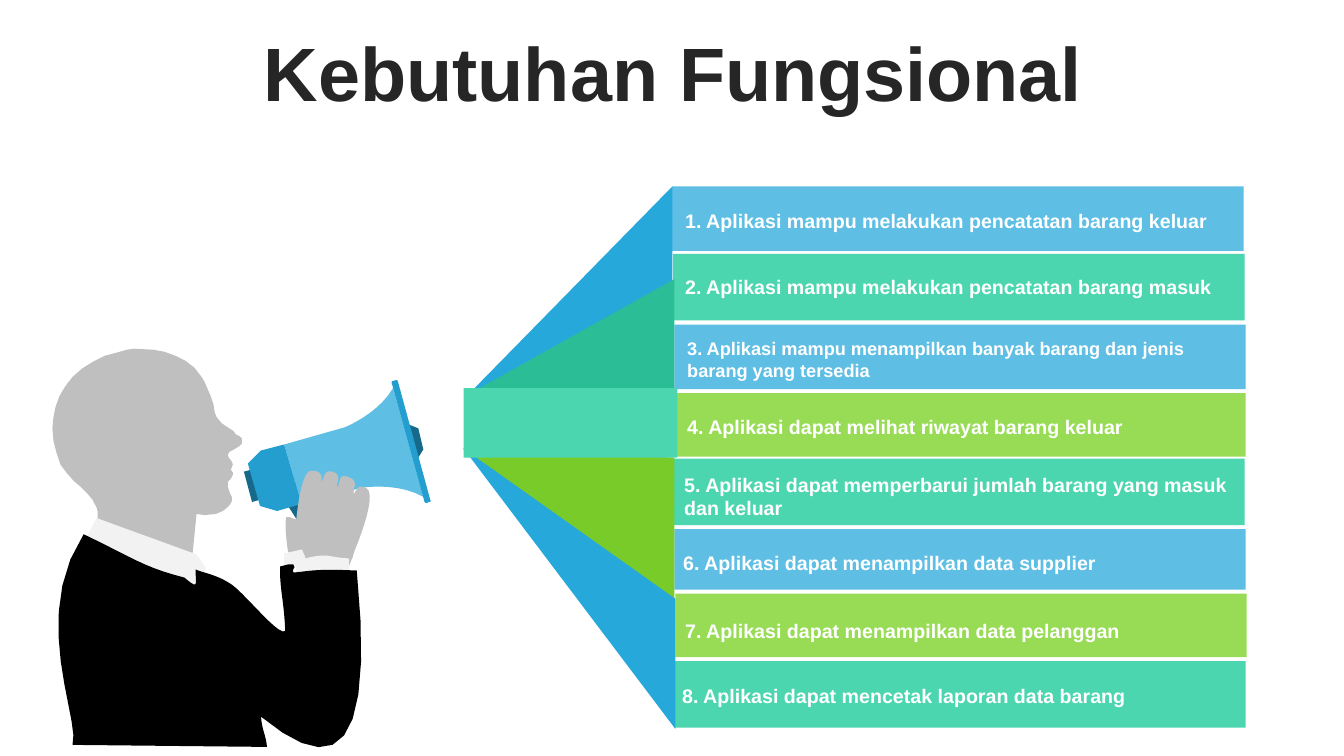
from typing import NamedTuple

from pptx import Presentation
from pptx.dml.color import RGBColor
from pptx.enum.shapes import MSO_SHAPE
from pptx.enum.text import MSO_ANCHOR, PP_ALIGN
from pptx.util import Cm, Pt

SKY, MINT, LIME = "5EBEE4", "4CD6B0", "98DC56"
BLUE, HORN_BLUE, DARK_BLUE = "27A8DB", "239ECF", "17698A"
SKIN, CLOTH, SUIT = "BFBFBF", "F2F2F2", "000000"
BAR_WIDTH = 5.67
CURVE_STEPS = 10


class Requirement(NamedTuple):
    text: str
    color: str
    left: float
    top: float
    height: float
    text_left: float
    text_top: float
    text_height: float = 0.34
    size: int = 14


class Outline(NamedTuple):
    """Steps are "x,y" for a line and "x1,y1,x2,y2,x,y" for a Bézier curve."""
    color: str
    steps: str


REQUIREMENTS = [
    Requirement("1. Aplikasi mampu melakukan pencatatan barang keluar",
                SKY, 6.67, 1.85, 0.64, 6.7, 2.02),
    Requirement("2. Aplikasi mampu melakukan pencatatan barang masuk",
                MINT, 6.68, 2.52, 0.66, 6.7, 2.68),
    Requirement("3. Aplikasi mampu menampilkan banyak barang dan jenis barang yang tersedia",
                SKY, 6.69, 3.22, 0.64, 6.72, 3.3, 0.54, 13),
    Requirement("4. Aplikasi dapat melihat riwayat barang keluar",
                LIME, 6.69, 3.9, 0.63, 6.72, 4.07),
    Requirement("5. Aplikasi dapat memperbarui jumlah barang yang masuk dan keluar",
                MINT, 6.68, 4.55, 0.66, 6.69, 4.64, 0.57),
    Requirement("6. Aplikasi dapat menampilkan data supplier",
                SKY, 6.69, 5.25, 0.6, 6.68, 5.42),
    Requirement("7. Aplikasi dapat menampilkan data pelanggan",
                LIME, 6.7, 5.89, 0.63, 6.7, 6.09),
    Requirement("8. Aplikasi dapat mencetak laporan data barang",
                MINT, 6.69, 6.56, 0.66, 6.67, 6.74),
]

WEDGES = [
    Outline(BLUE, "6.67,2.82 4.62,3.94 6.67,1.85"),
    Outline("2BBD95", "6.69,3.87 4.6,3.94 6.69,2.77"),
    Outline("79CB2A", "6.69,6.01 4.59,4.45 6.69,4.54"),
    Outline(BLUE, "6.7,7.23 4.6,4.45 6.7,5.94"),
]

MEGAPHONE = [
    Outline(DARK_BLUE, "4.05,4.21 4.08,4.39 4.15,4.54 4.2,4.46 4.15,4.25"),
    Outline(DARK_BLUE, "3.47,5.55 3.33,5.64 3.31,5.66,3.27,5.65,3.25,5.63 2.8,4.93 "
            "2.78,4.9,2.79,4.87,2.82,4.85 2.96,4.76 2.98,4.74,3.02,4.75,3.04,4.78 "
            "3.49,5.47 3.51,5.5,3.5,5.54,3.47,5.55"),
    Outline(SKY, "3.42,4.24 2.82,4.41 2.99,5.01 3.58,4.84 3.58,4.84,3.94,4.78,4.2,4.93 "
            "3.9,3.85 3.75,4.11,3.42,4.24,3.42,4.24"),
    Outline(HORN_BLUE, "4.26,4.98 4.23,4.99 4.22,4.99,4.21,4.98,4.21,4.97 3.89,3.81 "
            "3.88,3.79,3.89,3.78,3.9,3.78 3.93,3.77 3.94,3.77,3.95,3.78,3.95,3.79 "
            "4.27,4.96 4.28,4.97,4.27,4.98,4.26,4.98"),
    Outline(DARK_BLUE, "2.42,4.68 2.56,4.64 2.64,4.94 2.5,4.98"),
    Outline(HORN_BLUE, "2.59,4.47 2.46,4.6 2.58,5.02 2.75,5.07 2.99,5 2.82,4.41"),
]

HAND = Outline(
    SKIN, "2.98,5.59 2.97,5.55,2.98,5.55,2.97,5.52 2.92,5.49,2.94,5.51,2.86,5.48 "
    "2.85,5.44,2.82,5.19,2.84,5.13 2.91,5.13,2.87,5.14,2.94,5.15 "
    "2.96,4.95,3.01,4.66,3.09,4.67 3.18,4.67,3.2,4.71,3.19,4.79 "
    "3.22,4.72,3.22,4.66,3.3,4.68 3.41,4.71,3.32,4.82,3.35,4.83 "
    "3.38,4.77,3.36,4.7,3.45,4.73 3.57,4.77,3.5,4.84,3.51,4.9 "
    "3.54,4.86,3.55,4.8,3.63,4.84 3.75,4.89,3.56,5.36,3.52,5.46 "
    "3.48,5.58,3.45,5.66,3.39,5.75 3.25,5.69,3.19,5.67,2.98,5.59")

HEAD = Outline(
    SKIN, "1.26,3.47 1.33,3.46 1.52,3.47 1.63,3.49 1.74,3.53 1.84,3.58 1.93,3.65 2,3.74 "
    "2.03,3.79 2.09,3.93 2.12,4.02 2.13,4.09 2.15,4.14 2.2,4.2 2.26,4.24 2.32,4.28 "
    "2.34,4.31 2.38,4.33 2.4,4.35 2.4,4.4 2.37,4.43 2.32,4.46 2.28,4.48 2.26,4.51 "
    "2.27,4.54 2.3,4.58 2.31,4.61 2.29,4.66 2.31,4.69 2.31,4.71 2.29,4.75 2.26,4.78 "
    "2.26,4.83 2.28,4.89 2.3,4.93 2.3,4.97 2.28,5.01 2.25,5.04 2.21,5.07 2.14,5.1 "
    "2.03,5.11 1.95,5.1 1.91,5.5 0.97,5.21 0.97,5.08 0.96,5.04 0.92,4.96 0.87,4.9 "
    "0.8,4.83 0.73,4.77 0.66,4.69 0.6,4.61 0.56,4.49 0.53,4.37 0.52,4.25 0.53,4.14 "
    "0.55,4.04 0.59,3.93 0.65,3.83 0.72,3.74 0.81,3.66 0.92,3.59 1.04,3.53 1.19,3.49")

CLOTHES = [
    Outline(CLOTH, "0.83,5.38 0.96,5.14 1.95,5.5 2.04,5.63 2.02,5.75 1.95,5.71 1.93,5.82 "
            "1.53,5.7,1.2,5.52,0.83,5.38"),
    Outline(CLOTH, "2.82,5.61 2.82,5.49 3,5.45 3,5.48,3.03,5.51,3.03,5.54 "
            "3.26,5.48,3.25,5.53,3.46,5.54 3.47,5.7 3.29,5.67,3.12,5.71,2.94,5.7 2.93,5.6"),
    Outline(SUIT, "0.83,5.3 0.29,6.12,0.8,7.14,0.72,7.39 2.65,7.41 "
            "2.63,7.26,2.6,7.25,2.59,7.11 3.34,7.73,3.72,7.47,3.54,5.66 "
            "3.09,5.64,3.06,5.67,2.91,5.68 2.9,5.62,2.94,5.65,2.91,5.6 "
            "2.84,5.6,2.9,5.59,2.78,5.62 2.77,5.82,2.82,5.97,2.83,6.26 "
            "2.77,6.32,2.44,5.9,2.3,5.8 2.15,5.7,2.04,5.69,1.94,5.65 "
            "1.94,5.79,1.98,5.86,1.83,5.73 1.43,5.63,1.31,5.53,0.83,5.3"),
]


def length(units: float) -> Cm:
    """Convert layout units of 2.54 cm."""
    return Cm(units * 2.54)


def rgb(color: str) -> RGBColor:
    return RGBColor.from_string(color)


def paint(shape, color: str) -> None:
    shape.shadow.inherit = False
    shape.fill.solid()
    shape.fill.fore_color.rgb = rgb(color)
    shape.line.fill.background()


def trace(steps: str) -> list[tuple[int, int]]:
    """Turn the steps of an outline into points, sampling its curves."""
    points: list[tuple[float, float]] = []
    for step in steps.split():
        numbers = [float(number) for number in step.split(",")]
        if len(numbers) == 2:
            points.append((numbers[0], numbers[1]))
            continue
        controls = [points[-1], *zip(numbers[::2], numbers[1::2])]
        for index in range(1, CURVE_STEPS + 1):
            t = index / CURVE_STEPS
            weights = ((1 - t) ** 3, 3 * t * (1 - t) ** 2, 3 * t * t * (1 - t), t ** 3)
            points.append((sum(w * x for w, (x, _) in zip(weights, controls)),
                           sum(w * y for w, (_, y) in zip(weights, controls))))
    return [(length(x), length(y)) for x, y in points]


def add_outline(shapes, outline: Outline) -> None:
    start, *others = trace(outline.steps)
    builder = shapes.build_freeform(*start)
    builder.add_line_segments(others, close=True)
    paint(builder.convert_to_shape(), outline.color)


def add_bar(shapes, left: float, top: float, width: float, height: float, color: str) -> None:
    bar = shapes.add_shape(MSO_SHAPE.RECTANGLE, *map(length, (left, top, width, height)))
    paint(bar, color)


def add_text(shapes, text: str, left: float, top: float, width: float, height: float,
             size: int, color: str):
    """Add a bold text box and return its text frame."""
    box = shapes.add_textbox(*map(length, (left, top, width, height)))
    text_frame = box.text_frame
    text_frame.word_wrap = True
    text_frame.text = text
    font = text_frame.paragraphs[0].runs[0].font
    font.name, font.size, font.bold = "Arial", Pt(size), True
    font.color.rgb = rgb(color)
    return text_frame


def main() -> None:
    presentation = Presentation()
    presentation.slide_width, presentation.slide_height = Cm(33.87), Cm(19.05)
    shapes = presentation.slides.add_slide(presentation.slide_layouts[6]).shapes

    title = add_text(shapes, "Kebutuhan Fungsional", 0.35, 0.37, 12.66, 0.79, 54, "262626")
    title.vertical_anchor = MSO_ANCHOR.MIDDLE
    paragraph = title.paragraphs[0]
    paragraph.alignment = PP_ALIGN.CENTER
    paragraph.line_spacing = 0.9
    paragraph.space_before = Pt(10)

    for item in REQUIREMENTS:
        add_bar(shapes, item.left, item.top, BAR_WIDTH, item.height, item.color)
    for outline in [*WEDGES, *MEGAPHONE, HAND, HEAD, *CLOTHES]:
        add_outline(shapes, outline)
    add_bar(shapes, 4.6, 3.85, 2.12, 0.69, MINT)
    for item in REQUIREMENTS:
        add_text(shapes, item.text, item.text_left, item.text_top, BAR_WIDTH,
                 item.text_height, item.size, "FFFFFF")

    presentation.save("out.pptx")


if __name__ == "__main__":
    main()
